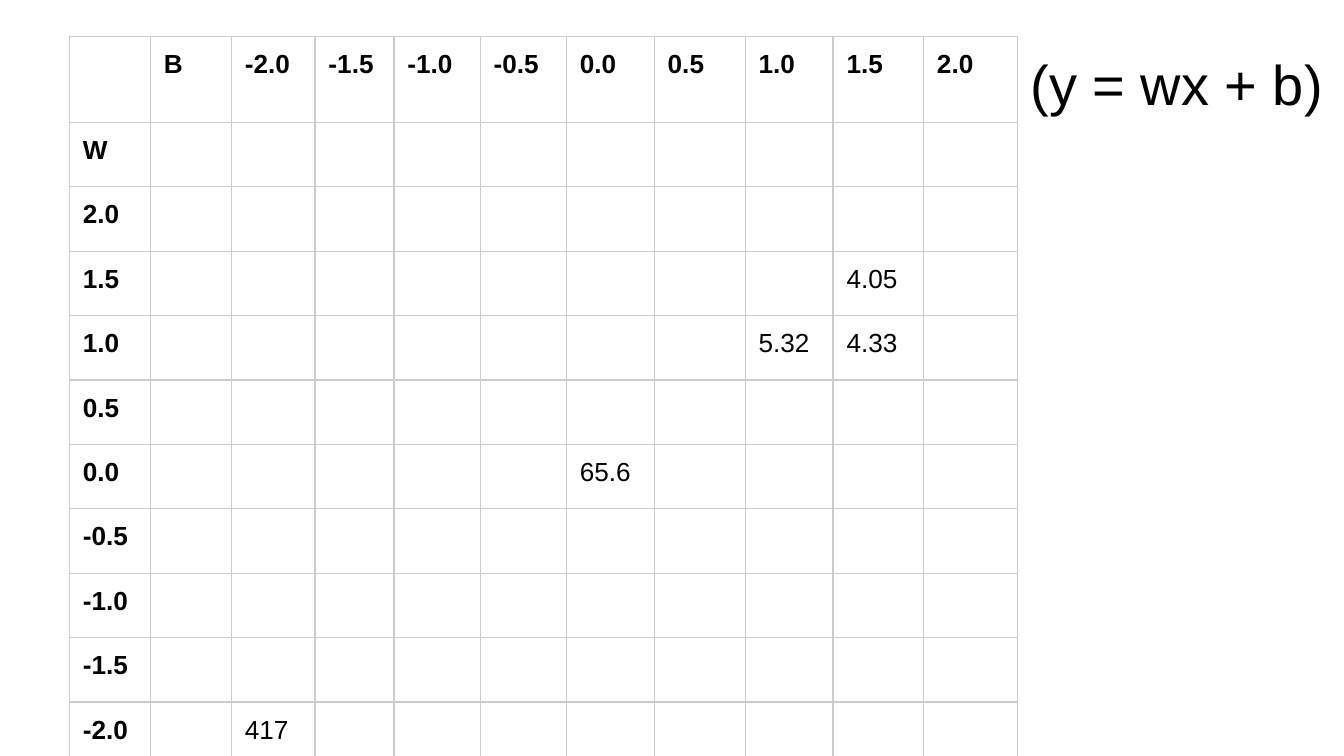
from lxml import etree
from pptx import Presentation
from pptx.dml import color
from pptx.oxml import ns
from pptx.util import Pt


def style(p, size, bold=False, hex_color="000000"):
    p.font.name = "Arial"
    p.font.size = Pt(size)
    p.font.bold = bold
    p.font.color.rgb = color.RGBColor.from_string(hex_color)


def add_borders(cell, hex_color, width):
    tc_pr = cell._tc.get_or_add_tcPr()
    for side in ("lnL", "lnR", "lnT", "lnB"):
        ln = etree.SubElement(tc_pr, ns.qn(f"a:{side}"), w=str(Pt(width)))
        fill = etree.SubElement(ln, ns.qn("a:solidFill"))
        etree.SubElement(fill, ns.qn("a:srgbClr"), val=hex_color)


prs = Presentation()
prs.slide_width, prs.slide_height = Pt(720), Pt(405)
s = prs.slides.add_slide(prs.slide_layouts[6])

b_values = ["-2.0", "-1.5", "-1.0", "-0.5", "0.0", "0.5", "1.0", "1.5", "2.0"]
w_values = b_values[::-1]
losses = {
    ("1.5", "1.5"): "4.05",
    ("1.0", "1.0"): "5.32",
    ("1.0", "1.5"): "4.33",
    ("0.0", "0.0"): "65.6",
    ("-2.0", "-2.0"): "417",
}
headers = ["", "B"] + b_values
rows = [headers]
for w in ["W"] + w_values:
    rows.append([w, ""] + [losses.get((w, b), "") for b in b_values])

widths = [43.4, 43.4, 44.8, 42.3, 46.2, 46.2, 47.1, 48.7, 47.1, 48.5, 50.2]
heights = [46] + [34.5] * (len(rows) - 1)
table = s.shapes.add_table(
    len(rows), len(headers), Pt(37.2), Pt(19.6), Pt(sum(widths)), Pt(sum(heights))
).table
table.first_row = False
table.horz_banding = False
for column, width in zip(table.columns, widths):
    column.width = Pt(width)

for i, values in enumerate(rows):
    table.rows[i].height = Pt(heights[i])
    for j, value in enumerate(values):
        cell = table.cell(i, j)
        cell.margin_left = cell.margin_right = Pt(7.2)
        cell.margin_top = cell.margin_bottom = Pt(7.2)
        add_borders(cell, "CCCCCC", 0.75)
        cell.fill.background()
        p = cell.text_frame.paragraphs[0]
        if value:
            p.text = value
        style(p, 14, bold=i == 0 or j == 0)

sp = s.shapes.add_textbox(Pt(545), Pt(19.6), Pt(187), Pt(67.5))
tf = sp.text_frame
tf.word_wrap = True
tf.margin_left = tf.margin_right = tf.margin_top = tf.margin_bottom = Pt(7.2)
p = tf.paragraphs[0]
p.text = "(y = wx + b)"
style(p, 30)

prs.save("out.pptx")
